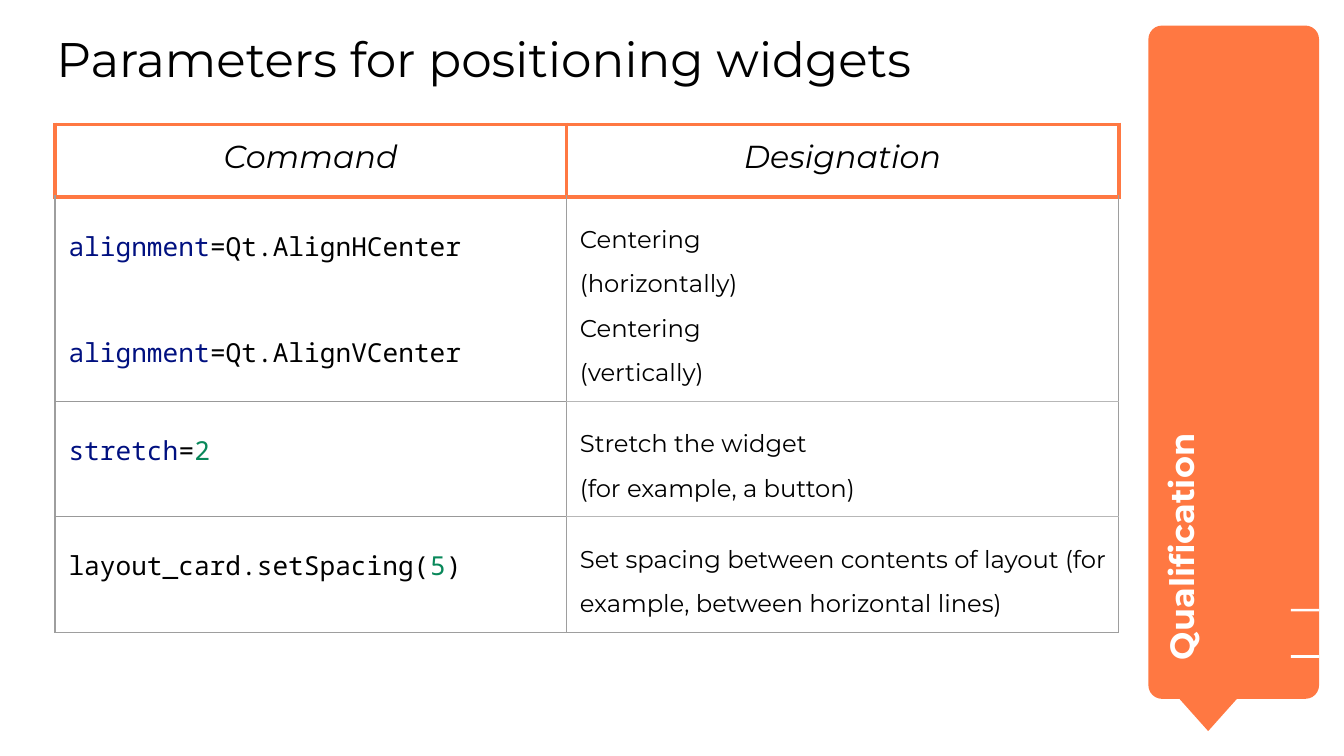
from dataclasses import dataclass

from lxml.etree import SubElement
from pptx import Presentation
from pptx.dml.color import RGBColor
from pptx.enum.shapes import MSO_SHAPE as Shape
from pptx.enum.text import PP_ALIGN as Align
from pptx.oxml.ns import qn
from pptx.util import Emu, Pt

SCALE = 4572  # EMU in one px, 200 px to the inch


@dataclass(frozen=True)
class Theme:
    accent: str = "FF7842"
    white: str = "FFFFFF"
    black: str = "000000"
    keyword: str = "001080"
    number: str = "09885A"
    edge: str = "9E9E9E"
    left_rule: str = "999999"
    right_rule: str = "B7B7B7"
    font: str = "Montserrat"
    mono: str = "Noto Sans Mono"
    title: int = 26
    tab: int = 18
    header: int = 17
    code: int = 14
    body: int = 13


T = Theme()
INSET = 20
COLUMNS = (761, 822)
ROWS = (108, 304, 172, 172)

# Code lines as (text, colour) runs, next to the lines that explain them
ENTRIES = [
    ([[("alignment", T.keyword), ("=Qt.AlignHCenter", T.black)],
      [("alignment", T.keyword), ("=Qt.AlignVCenter", T.black)]],
     ["Centering", "(horizontally)", "Centering", "(vertically)"]),
    ([[("stretch", T.keyword), ("=", T.black), ("2", T.number)]],
     ["Stretch the widget", "(for example, a button)"]),
    ([[("layout_card.setSpacing(", T.black), ("5", T.number), (")", T.black)]],
     ["Set spacing between contents of layout "
      "(for example, between horizontal lines)"]),
]


def px(n):
    return Emu(n * SCALE)


def add_run(p, text, size, color=T.black, font=T.font, bold=False, italic=False):
    r = p.add_run()
    r.text = text
    f = r.font
    f.name, f.size, f.bold, f.italic = font, Pt(size), bold, italic
    f.color.rgb = RGBColor.from_string(color)


def add_block(slide, kind, x, y, w, h, color):
    sp = slide.shapes.add_shape(kind, px(x), px(y), px(w), px(h))
    sp.shadow.inherit = False
    sp.fill.solid()
    sp.fill.fore_color.rgb = RGBColor.from_string(color)
    sp.line.fill.background()
    return sp


def add_text(slide, x, y, w, h, text, size, inset=0, rotation=0, **style):
    box = slide.shapes.add_textbox(px(x), px(y), px(w), px(h))
    box.rotation = rotation
    tf = box.text_frame
    tf.word_wrap = True
    tf.margin_left = tf.margin_right = tf.margin_top = tf.margin_bottom = px(inset)
    add_run(tf.paragraphs[0], text, size, **style)


def format_cell(cell, left, right, top, bottom):
    """Set insets, borders as (colour, points), and no fill."""
    cell.margin_left = cell.margin_right = px(INSET)
    cell.margin_top = cell.margin_bottom = px(INSET)
    tc_pr = cell._tc.get_or_add_tcPr()
    borders = {"L": left, "R": right, "T": top, "B": bottom}
    for side, (color, width) in borders.items():
        ln = SubElement(tc_pr, qn(f"a:ln{side}"), w=str(Pt(width)))
        SubElement(SubElement(ln, qn("a:solidFill")), qn("a:srgbClr"), val=color)
    cell.fill.background()


def fill_cell(cell, lines, size, font=T.font, gap=0):
    tf = cell.text_frame
    for i, runs in enumerate(lines):
        p = tf.add_paragraph() if i else tf.paragraphs[0]
        p.line_spacing = 1.5
        if i and gap:
            p.space_before = Pt(gap)
        for text, color in runs:
            add_run(p, text, size, color, font)


def add_parameter_table(slide):
    frame = slide.shapes.add_table(len(ROWS), len(COLUMNS), px(82), px(185),
                                   px(sum(COLUMNS)), px(sum(ROWS)))
    table = frame.table
    table.first_row = table.horz_banding = False
    for column, width in zip(table.columns, COLUMNS):
        column.width = px(width)
    for row, height in zip(table.rows, ROWS):
        row.height = px(height)

    # Header row
    strong, edge = (T.accent, 2.25), (T.edge, 0.75)
    for c, label in enumerate(("Command", "Designation")):
        cell = table.cell(0, c)
        format_cell(cell, strong, strong, strong, strong)
        p = cell.text_frame.paragraphs[0]
        p.alignment = Align.CENTER
        add_run(p, label, T.header, italic=True)

    # Body rows
    for r, (code, notes) in enumerate(ENTRIES, 1):
        for c, rule in enumerate((T.left_rule, T.right_rule)):
            top = strong if r == 1 else (rule, 0.75)
            bottom = edge if r == len(ENTRIES) else (rule, 0.75)
            format_cell(table.cell(r, c), edge, edge, top, bottom)
        fill_cell(table.cell(r, 0), code, T.code, T.mono, gap=28.6)
        fill_cell(table.cell(r, 1), [[(note, T.black)] for note in notes], T.body)


def add_side_tab(slide):
    panel = add_block(slide, Shape.ROUNDED_RECTANGLE, 1709, 38, 254, 1002, T.accent)
    panel.adjustments[0] = 0.08
    add_block(slide, Shape.FLOWCHART_MERGE, 1732, 1014, 132, 74, T.accent)
    add_text(slide, 1417, 528, 764, 184, "Qualification", T.tab, inset=INSET,
             rotation=270, color=T.white, bold=True)
    for y in (906, 975):
        add_block(slide, Shape.RECTANGLE, 1921, y, 42, 4, T.white)


def main():
    prs = Presentation()
    prs.slide_width, prs.slide_height = px(2000), px(1125)
    slide = prs.slides.add_slide(prs.slide_layouts[6])
    add_side_tab(slide)
    add_text(slide, 84, 43, 1568, 142, "Parameters for positioning widgets", T.title)
    add_parameter_table(slide)
    prs.save("out.pptx")


if __name__ == "__main__":
    main()
